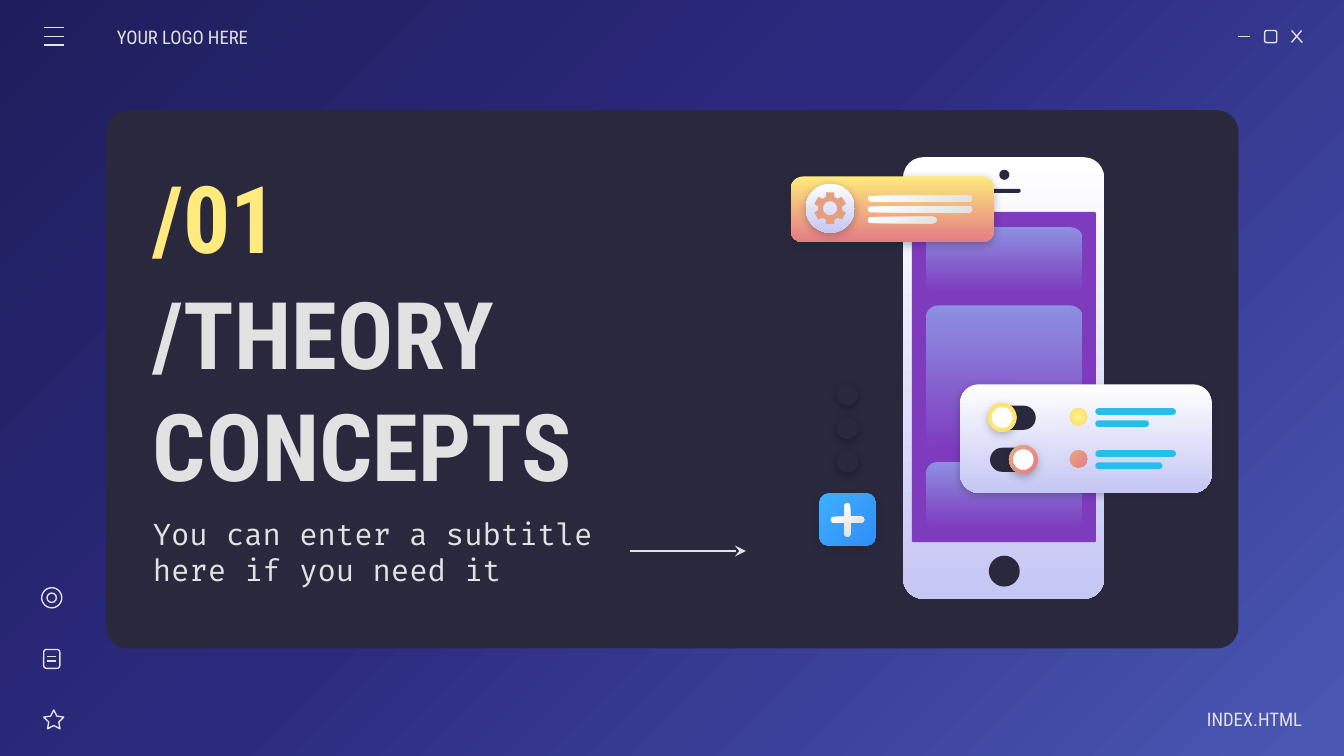
import math
from dataclasses import dataclass

from lxml import etree
from pptx import Presentation, util as u
from pptx.dml.color import RGBColor
from pptx.enum import shapes, text
from pptx.oxml.ns import qn


@dataclass(frozen=True)
class Theme:
    # Gradients are (clockwise angle or focus corner, first colour, last colour)
    backdrop: tuple = ("corner", "1E1E5C", "4A58B4")
    backdrop_middle: str = "2C2A7F"
    card: str = "29283D"
    light: str = "E2E2E2"
    yellow: str = "FFEA7D"
    white: str = "FFFFFF"
    purple: str = "7E3BBE"
    blue: str = "24BFEB"
    gear: str = "E5A083"
    panel: tuple = (90, "8D90E1", "7E3BBE")
    pale: tuple = (90, "FFFFFF", "C5C7F4")
    sunset: tuple = (90, "FFEA7D", "E57C85")
    silver: tuple = (45, "FFFFFF", "E2E2E2")
    sky: tuple = (45, "3DB0FD", "308EF7")
    sun: tuple = ("centre", "FFF68E", "FFD966")
    coral: tuple = (45, "E9A984", "E57C85")
    shade: str = "1E1E2C"
    black: str = "000000"
    heading_font: str = "Roboto Condensed"
    code_font: str = "Fira Code"
    heading: int = 50
    subtitle: int = 16
    small: int = 10
    stroke: float = 0.75


theme = Theme()
prs = Presentation()
prs.slide_width = u.Inches(10)
prs.slide_height = prs.slide_width * 9 // 16
cell = prs.slide_width // 100  # square grid, 100 columns across the slide
slide = prs.slides.add_slide(prs.slide_layouts[0])
ROUND, OVAL = shapes.MSO_SHAPE.ROUNDED_RECTANGLE, shapes.MSO_SHAPE.OVAL


def paint(host, fill, look):
    """Fill with one colour, a linear gradient or a radial gradient."""
    if isinstance(look, str):
        fill.solid()
        fill.fore_color.rgb = RGBColor.from_string(look)
        return
    direction, *colours = look
    fill.gradient()
    for stop, colour in zip(fill.gradient_stops, colours):
        stop.color.rgb = RGBColor.from_string(colour)
    if isinstance(direction, int):
        fill.gradient_angle = 360 - direction
        return
    focus = {"corner": (0, 0, 100, 100), "centre": (50,) * 4}[direction]
    linear = next(host.iter(qn("a:lin")))
    radial = etree.Element(qn("a:path"), path="circle")
    etree.SubElement(radial, qn("a:fillToRect"),
                     {side: str(share * 1000) for side, share in zip("ltrb", focus)})
    linear.getparent().replace(linear, radial)


def draw(kind, left, top, width, height, look=None, corner=None, shade=None):
    """Add a preset shape in grid cells; without a look it is an outline."""
    shape = slide.shapes.add_shape(kind, *(round(n * cell) for n in (left, top, width, height)))
    shape.shadow.inherit = False
    if corner is not None:
        shape.adjustments[0] = corner
    if look:
        paint(shape._element, shape.fill, look)
        shape.line.fill.background()
    else:
        shape.fill.background()
        shape.line.color.rgb = RGBColor.from_string(theme.light)
        shape.line.width = u.Pt(theme.stroke)
    if shade:
        effects = shape._element.spPr.find(qn("a:effectLst"))
        shadow = etree.SubElement(effects, qn("a:outerShdw"), blurRad=str(u.Pt(4.5)),
                                  dist=str(u.Pt(1.5)), dir="5400000", algn="bl", rotWithShape="0")
        tint = etree.SubElement(shadow, qn("a:srgbClr"), val=shade)
        etree.SubElement(tint, qn("a:alpha"), val="30000")
    return shape


# Background with its middle stop
paint(slide._element, slide.background.fill, theme.backdrop)
first_stop = next(slide._element.iter(qn("a:gs")))
middle = etree.Element(qn("a:gs"), pos="46000")
etree.SubElement(middle, qn("a:srgbClr"), val=theme.backdrop_middle)
first_stop.addnext(middle)

# Dark card, placed behind the placeholders
card = draw(ROUND, 7.9, 8.2, 84.25, 40.05, theme.card, 0.04)
slide.shapes._spTree.insert(2, card._element)

# Window button, star, page and target icons
draw(ROUND, 94.1, 2.27, 0.9, 0.9, corner=0.17)
draw(shapes.MSO_SHAPE.STAR_5_POINT, 3.25, 52.83, 1.5, 1.4, corner=0.25)
draw(ROUND, 3.25, 48.33, 1.2, 1.4, corner=0.17)
draw(OVAL, 3.1, 43.73, 1.5, 1.5)
draw(OVAL, 3.5, 44.13, 0.7, 0.7)

# Strokes: window buttons, menu, page lines, arrow
strokes = [(92.1, 2.7, 93, 2.7), (96.1, 2.27, 96.9, 3.17), (96.85, 2.27, 96.1, 3.15)]
strokes += [(3.25, y, 4.75, y) for y in (2.05, 2.7, 3.35)]
strokes += [(3.5, y, 4.2, y) for y in (48.83, 49.2)]
arrow = (46.9, 41, 55.5, 41)
for ends in strokes + [arrow]:
    stroke = slide.shapes.add_connector(shapes.MSO_CONNECTOR.STRAIGHT,
                                        *(round(n * cell) for n in ends))
    stroke.line.color.rgb = RGBColor.from_string(theme.light)
    stroke.line.width = u.Pt(theme.stroke)
    properties = stroke._element.spPr
    if ends == arrow:
        etree.SubElement(properties.find(qn("a:ln")), qn("a:tailEnd"), type="stealth")
    etree.SubElement(properties, qn("a:effectLst"))

# Wording: holder, place, text, font, size, colour, bold, align, side insets
title, subtitle = slide.placeholders
LEFT, RIGHT = text.PP_ALIGN.LEFT, text.PP_ALIGN.RIGHT
wording = [
    (title, (10.37, 20.7, 43, 16.4), "/THEORY CONCEPTS", theme.heading_font,
     theme.heading, theme.light, True, LEFT, (1, 1)),
    (subtitle, (10.37, 37.13, 39.9, 7.8), "You can enter a subtitle here if you need it",
     theme.code_font, theme.subtitle, theme.light, False, LEFT, (1, 1)),
    (None, (10.37, 11.5, 17.8, 9.2), "/01", theme.heading_font,
     theme.heading, theme.yellow, True, LEFT, (1, 1)),
    (None, (8.7, 1.23, 11.7, 3), "YOUR LOGO HERE", theme.heading_font,
     theme.small, theme.light, False, LEFT, (0, 1)),
    (None, (85.17, 52, 11.7, 3), "INDEX.HTML", theme.heading_font,
     theme.small, theme.light, False, RIGHT, (1, 0)),
]
for holder, place, words, font, size, colour, bold, align, insets in wording:
    left, top, width, height = (round(n * cell) for n in place)
    if holder is None:
        holder = slide.shapes.add_textbox(left, top, width, height)
    holder.left, holder.top, holder.width, holder.height = left, top, width, height
    frame = holder.text_frame
    frame.word_wrap = True
    frame.auto_size = text.MSO_AUTO_SIZE.NONE
    frame.vertical_anchor = text.MSO_ANCHOR.MIDDLE
    frame.margin_left, frame.margin_right = (n * cell for n in insets)
    frame.margin_top = frame.margin_bottom = cell
    paragraph = frame.paragraphs[0]
    paragraph.alignment = align
    paragraph.space_before = u.Pt(0)
    run = paragraph.add_run()
    run.text = words
    run.font.name, run.font.size, run.font.bold = font, u.Pt(size), bold
    run.font.color.rgb = RGBColor.from_string(colour)

# Phone: body, screen, panels, camera, speaker, home button
draw(ROUND, 67.2, 11.7, 14.95, 32.85, theme.pale, 0.1)
draw(ROUND, 67.85, 15.77, 13.7, 24.57, theme.purple, 0.01)
for top, height in ((16.9, 4.9), (22.73, 10.9), (34.37, 4.9)):
    draw(ROUND, 68.9, top, 11.65, height, theme.panel, 0.9 / height)
draw(OVAL, 74.35, 12.63, 0.75, 0.75, theme.card)
draw(ROUND, 73.5, 14.05, 2.45, 0.3, theme.card, 0.5)
draw(OVAL, 73.58, 41.35, 2.3, 2.3, theme.card)

# Settings banner with its gear
draw(ROUND, 58.83, 13.13, 15.15, 4.9, theme.sunset, 0.19, theme.shade)
draw(OVAL, 59.95, 13.67, 3.65, 3.65, theme.pale, shade=theme.shade)
teeth = [(60 * tooth + turn, radius) for tooth in range(6)
         for turn, radius in ((-22, 0.9), (-14, 1.22), (14, 1.22), (22, 0.9))]
hole = [(-10 * step, 0.52) for step in range(36)]
rim, bore = ([(round((61.77 + radius * math.sin(math.radians(turn))) * cell),
               round((15.5 - radius * math.cos(math.radians(turn))) * cell))
              for turn, radius in contour] for contour in (teeth, hole))
outline = slide.shapes.build_freeform(*rim[0])
outline.add_line_segments(rim[1:], close=True)
outline.move_to(*bore[0])
outline.add_line_segments(bore[1:], close=True)
gear = outline.convert_to_shape()
gear.shadow.inherit = False
paint(gear._element, gear.fill, theme.gear)
gear.line.fill.background()
for row, width in enumerate((7.75, 7.75, 5.1)):
    draw(ROUND, 64.57, 14.55 + 0.8 * row, width, 0.45, theme.silver, 0.5)

# Options card: a toggle, a bullet and two bars in each row
draw(ROUND, 71.45, 28.6, 18.7, 8.07, theme.pale, 0.17, theme.shade)
for top, knob, look, short_bar in ((30, 73.5, theme.sun, 4), (33.13, 75.07, theme.coral, 5)):
    draw(ROUND, 73.67, top + 0.18, 3.4, 1.8, theme.card, 0.5)
    draw(OVAL, knob, top, 2.13, 2.13, look, shade=theme.shade)
    draw(OVAL, knob + 0.3, top + 0.3, 1.53, 1.53, theme.white)
    draw(OVAL, 79.6, top + 0.37, 1.3, 1.3, look)
    for drop, width in ((0.37, 6), (1.27, short_bar)):
        draw(ROUND, 81.5, top + drop, width, 0.5, theme.blue, 0.5)

# Plus button and the dots above it
draw(ROUND, 60.95, 36.7, 4.2, 3.9, theme.sky, 0.18, theme.shade)
for turn in (0, 90):
    draw(ROUND, 61.8, 38.45, 2.5, 0.45, theme.silver, 0.5).rotation = turn
for row in range(3):
    draw(OVAL, 62.25, 28.57 + 2.5 * row, 1.6, 1.6, theme.card, shade=theme.black)

prs.save("out.pptx")
